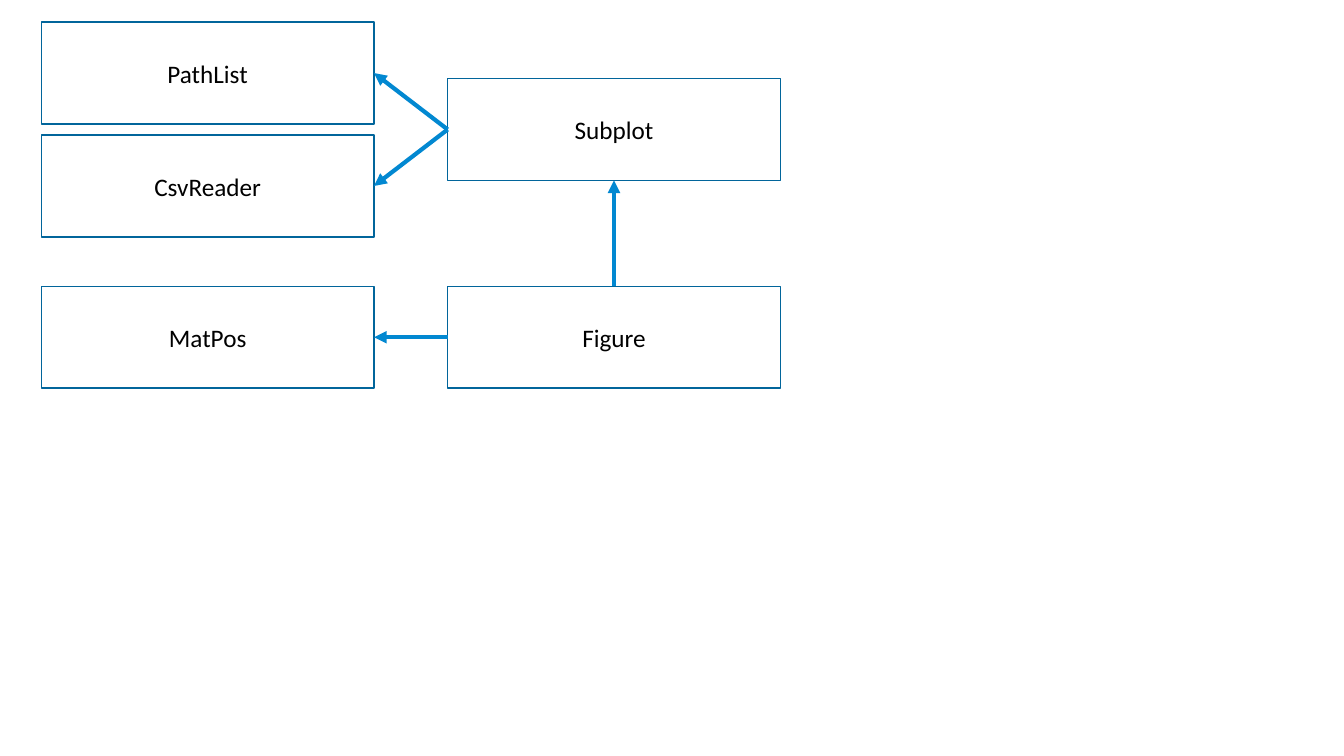
"""Draw a class dependency diagram for a plotting library."""
import pptx
import pptx.dml.color
import pptx.enum.shapes
import pptx.enum.text
import pptx.oxml.ns
import pptx.util
from lxml import etree

TOP, LEFT, BOTTOM, RIGHT = range(4)


def colour(hex_string):
    return pptx.dml.color.RGBColor.from_string(hex_string)


class Diagram:
    font, text_size, text_colour = "Calibri", 18, "000000"
    border_colour, border_width = "01659B", 1
    arrow_colour, arrow_width = "0288D1", 3
    margin_left, margin_top = 0.41, 0.22
    column_pitch, row_pitch = 4.03, 1.12
    box_width, box_height = 3.3, 1.01

    def __init__(self, slide):
        self.slide = slide

    def class_box(self, name, column, row):
        box = self.slide.shapes.add_shape(
            pptx.enum.shapes.MSO_SHAPE.RECTANGLE,
            pptx.util.Inches(self.margin_left + column * self.column_pitch),
            pptx.util.Inches(self.margin_top + row * self.row_pitch),
            pptx.util.Inches(self.box_width),
            pptx.util.Inches(self.box_height),
        )
        box.shadow.inherit = False
        box.fill.background()
        box.line.color.rgb = colour(self.border_colour)
        box.line.width = pptx.util.Pt(self.border_width)
        box.text_frame.text = name
        box.text_frame.vertical_anchor = pptx.enum.text.MSO_ANCHOR.MIDDLE
        label = box.text_frame.paragraphs[0]
        label.alignment = pptx.enum.text.PP_ALIGN.CENTER
        font = label.runs[0].font
        font.name = self.font
        font.size = pptx.util.Pt(self.text_size)
        font.color.rgb = colour(self.text_colour)
        return box

    def arrow(self, user, user_side, used, used_side):
        link = self.slide.shapes.add_connector(
            pptx.enum.shapes.MSO_CONNECTOR.STRAIGHT, 0, 0, 0, 0
        )
        link.begin_connect(user, user_side)
        link.end_connect(used, used_side)
        link.line.color.rgb = colour(self.arrow_colour)
        link.line.width = pptx.util.Pt(self.arrow_width)
        qn = pptx.oxml.ns.qn
        etree.SubElement(link.line._get_or_add_ln(), qn("a:tailEnd"), type="triangle")
        etree.SubElement(link._element.spPr, qn("a:effectLst"))


presentation = pptx.Presentation()
presentation.slide_width = pptx.util.Inches(13.33)
presentation.slide_height = pptx.util.Inches(7.5)
diagram = Diagram(presentation.slides.add_slide(presentation.slide_layouts[6]))

subplot = diagram.class_box("Subplot", 1, 0.5)
figure = diagram.class_box("Figure", 1, 2.34)
csv_reader = diagram.class_box("CsvReader", 0, 1)
mat_pos = diagram.class_box("MatPos", 0, 2.34)
path_list = diagram.class_box("PathList", 0, 0)

for user, used in ((subplot, csv_reader), (figure, mat_pos), (subplot, path_list)):
    diagram.arrow(user, LEFT, used, RIGHT)
diagram.arrow(figure, TOP, subplot, BOTTOM)

presentation.save("out.pptx")
